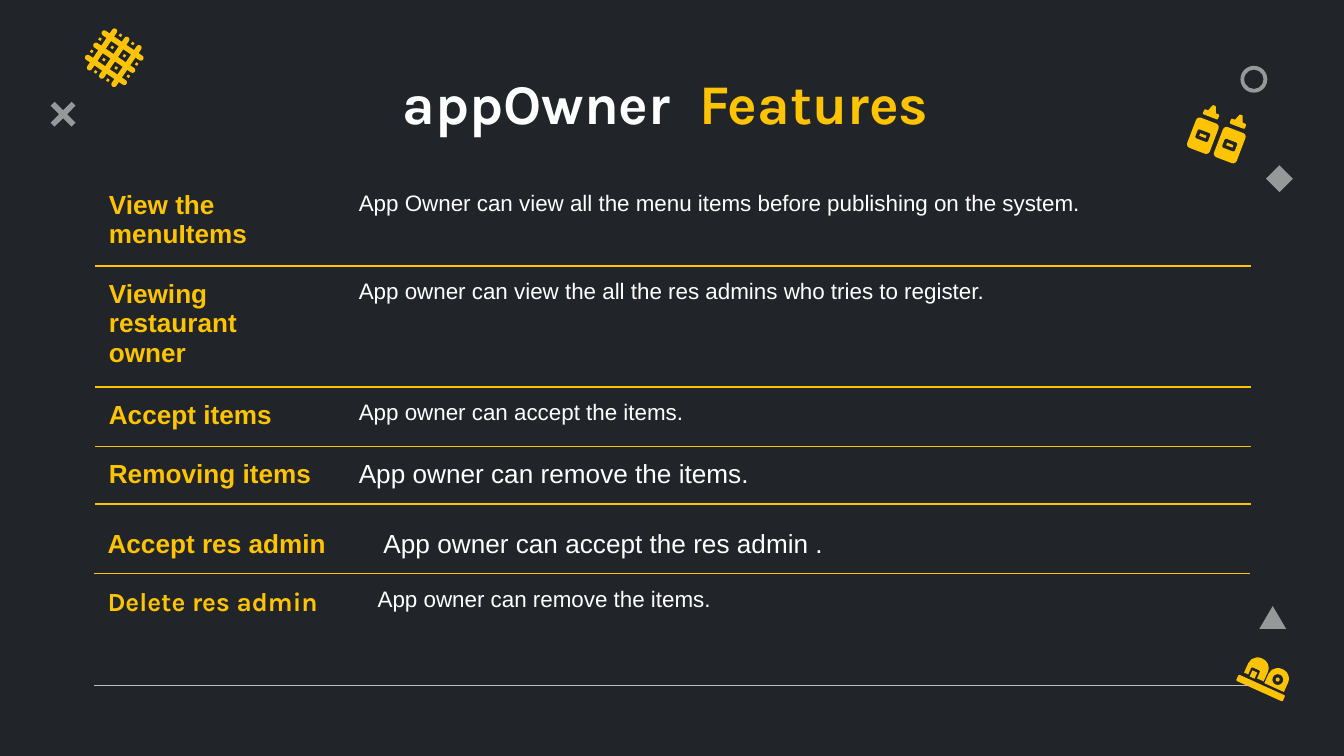
from dataclasses import dataclass
from itertools import product
from math import cos, radians, sin

from pptx import Presentation
from pptx.dml.color import RGBColor
from pptx.enum.shapes import MSO_SHAPE as Shape
from pptx.enum.text import PP_ALIGN as Align
from pptx.oxml.ns import qn
from pptx.util import Inches, Pt
from lxml.etree import SubElement

PLAIN_TABLE = "{2D5ABB26-0587-4C30-8999-92F81FD0307C}"


@dataclass(frozen=True)
class Theme:
    """Colours, fonts and type sizes of the slide."""
    back: str = "212529"
    accent: str = "FFC300"
    light: str = "FFFFFF"
    faint: str = "BDBEBF"
    body: str = "Arial"
    display: str = "Karla"
    title: int = 30
    label: int = 14
    detail: int = 12
    rule: float = 0.75


THEME = Theme()


def write(para, text, size, color, font=THEME.body, bold=False):
    """Add a formatted span to a paragraph."""
    span = para.add_run()
    span.text = text
    span.font.size, span.font.name, span.font.bold = Pt(size), font, bold
    span.font.color.rgb = RGBColor.from_string(color)


def add_shape(page, kind, left, top, width, height, color, adjust=None, turn=0, alpha=None):
    """Add a flat preset shape."""
    shape = page.shapes.add_shape(kind, Inches(left), Inches(top), Inches(width), Inches(height))
    shape.shadow.inherit = False
    shape.rotation = turn
    shape.fill.solid()
    shape.fill.fore_color.rgb = RGBColor.from_string(color)
    shape.line.fill.background()
    if adjust is not None:
        shape.adjustments[0] = adjust
    if alpha is not None:
        tint = shape.fill._xPr.find(qn("a:solidFill"))[0]
        SubElement(tint, qn("a:alpha"), val=str(alpha * 1000))


def add_icon(page, pivot, turn, parts):
    """Place parts, given as kind, offset, size, colour and adjustment, turned about a pivot."""
    c, s = cos(radians(turn)), sin(radians(turn))
    for kind, (x, y), (width, height), color, adjust in parts:
        left = pivot[0] + x * c - y * s - width / 2
        top = pivot[1] + x * s + y * c - height / 2
        add_shape(page, kind, left, top, width, height, color, adjust, turn)


def add_waffle(page):
    """Draw the waffle from a lattice of bars and small squares."""
    step, color = 0.11, THEME.accent
    parts = []
    for place in (-step, 0, step):
        parts.append((Shape.ROUNDED_RECTANGLE, (place, 0), (0.04, 0.37), color, 0.5))
        parts.append((Shape.ROUNDED_RECTANGLE, (0, place), (0.37, 0.04), color, 0.5))
    for x, y in product((-1.5, -0.5, 0.5, 1.5), repeat=2):
        if abs(x) + abs(y) < 3:
            parts.append((Shape.RECTANGLE, (x * step, y * step), (0.02, 0.02), color, None))
    add_icon(page, (0.85, 0.43), 34.2, parts)


def add_bottles(page):
    """Draw the two sauce bottles."""
    color, block = THEME.accent, Shape.ROUNDED_RECTANGLE
    parts = [
        (block, (0, 0), (0.18, 0.24), color, 0.16),
        (block, (0, 0), (0.1, 0.07), THEME.back, 0.2),
        (Shape.RECTANGLE, (0, 0), (0.05, 0.02), color, None),
        (block, (0, -0.17), (0.12, 0.04), color, 0.25),
        (Shape.TRAPEZOID, (0, -0.21), (0.07, 0.06), color, 0.4),
    ]
    for pivot in ((8.95, 1.01), (9.15, 1.08)):
        add_icon(page, pivot, 21, parts)


def add_sushi(page):
    """Draw the two sushi pieces on a board."""
    color, block, dome = THEME.accent, Shape.ROUNDED_RECTANGLE, Shape.ROUND_2_SAME_RECTANGLE
    add_icon(page, (9.38, 5.12), 24.3, [
        (block, (0, 0), (0.38, 0.05), color, 0.2),
        (dome, (-0.08, -0.13), (0.16, 0.15), color, 0.5),
        (block, (-0.09, -0.08), (0.07, 0.07), THEME.back, 0.15),
        (Shape.RECTANGLE, (-0.09, -0.07), (0.04, 0.05), color, None),
        (dome, (0.09, -0.12), (0.16, 0.15), color, 0.5),
        (Shape.OVAL, (0.09, -0.11), (0.08, 0.08), THEME.back, None),
        (Shape.OVAL, (0.09, -0.11), (0.03, 0.03), color, None),
    ])


def add_ornaments(page):
    """Add the translucent marks near the edges."""
    for kind, left, top, width, height, adjust in (
        (Shape.DONUT, 9.23, 0.49, 0.2, 0.2, 0.14),
        (Shape.MATH_MULTIPLY, 0.32, 0.7, 0.3, 0.3, 0.14),
        (Shape.ISOSCELES_TRIANGLE, 9.37, 4.51, 0.2, 0.17, 0.5),
        (Shape.DIAMOND, 9.42, 1.23, 0.2, 0.2, None),
    ):
        add_shape(page, kind, left, top, width, height, THEME.light, adjust, alpha=53)


def set_borders(cell, **colors):
    """Colour the named cell edges and clear the others."""
    props = cell._tc.get_or_add_tcPr()
    for edge in ("L", "R", "T", "B"):
        line = SubElement(props, qn(f"a:ln{edge}"), w=str(Pt(THEME.rule)))
        if edge in colors:
            fill = SubElement(line, qn("a:solidFill"))
            SubElement(fill, qn("a:srgbClr"), val=colors[edge])
            SubElement(line, qn("a:prstDash"), val="solid")
        else:
            SubElement(line, qn("a:noFill"))


def fill_cell(cell, text, **style):
    """Write one paragraph per line in a clear cell."""
    cell.fill.background()
    cell.margin_left = cell.margin_right = cell.margin_top = cell.margin_bottom = Inches(0.1)
    frame = cell.text_frame
    for index, words in enumerate(text.split("\n")):
        para = frame.add_paragraph() if index else frame.paragraphs[0]
        write(para, words, **style)


def add_features(page, left, top, widths, rows, last_rule=THEME.accent):
    """Add a table of features with a rule under each row."""
    heights = [row[0] for row in rows]
    frame = page.shapes.add_table(len(rows), 2, Inches(left), Inches(top),
                                  Inches(sum(widths)), Inches(sum(heights)))
    table = frame.table
    table.first_row = table.horz_banding = False
    table._tbl.tblPr.find(qn("a:tableStyleId")).text = PLAIN_TABLE
    for column, width in zip(table.columns, widths):
        column.width = Inches(width)
    for index, (height, label, detail, size, font) in enumerate(rows):
        table.rows[index].height = Inches(height)
        below = last_rule if index == len(rows) - 1 else THEME.accent
        above = {"T": THEME.accent} if index else {}
        for cell in table.rows[index].cells:
            set_borders(cell, B=below, **above)
        fill_cell(table.cell(index, 0), label, size=THEME.label,
                  color=THEME.accent, font=font, bold=True)
        fill_cell(table.cell(index, 1), detail, size=size, color=THEME.light)


def add_title(page):
    """Add the two-colour title."""
    box = page.shapes.add_textbox(Inches(0.79), Inches(0.41), Inches(8.43), Inches(0.52))
    frame = box.text_frame
    frame.word_wrap = True
    frame.margin_top = frame.margin_bottom = Inches(0.1)
    para = frame.paragraphs[0]
    para.alignment = Align.CENTER
    for text, color in (("appOwner  ", THEME.light), ("Features ", THEME.accent)):
        write(para, text, THEME.title, color, THEME.display, True)


def main():
    """Build and save the deck."""
    deck = Presentation()
    deck.slide_width = Inches(10)
    deck.slide_height = deck.slide_width * 9 // 16
    page = deck.slides.add_slide(deck.slide_layouts[6])
    page.background.fill.solid()
    page.background.fill.fore_color.rgb = RGBColor.from_string(THEME.back)
    add_sushi(page)
    add_waffle(page)
    add_ornaments(page)
    add_bottles(page)
    large, small, body = THEME.label, THEME.detail, THEME.body
    add_features(page, 0.7, 3.84, (2.01, 6.59), [
        (0.43, "Accept res admin ", " App owner can accept the res admin .", large, body),
        (0.83, "Delete res admin", "App owner can remove the items.", small, THEME.display),
    ], THEME.faint)
    add_features(page, 0.71, 1.32, (1.86, 6.74), [
        (0.66, "View the menuItems",
         "App Owner can view all the menu items before publishing on the system.", small, body),
        (0.9, "Viewing restaurant\nowner",
         "App owner can view the all the res admins who tries to register.", small, body),
        (0.44, "Accept items", "App owner can accept the items.", small, body),
        (0.43, "Removing items", "App owner can remove the items.", large, body),
    ])
    add_title(page)
    deck.save("out.pptx")


if __name__ == "__main__":
    main()
